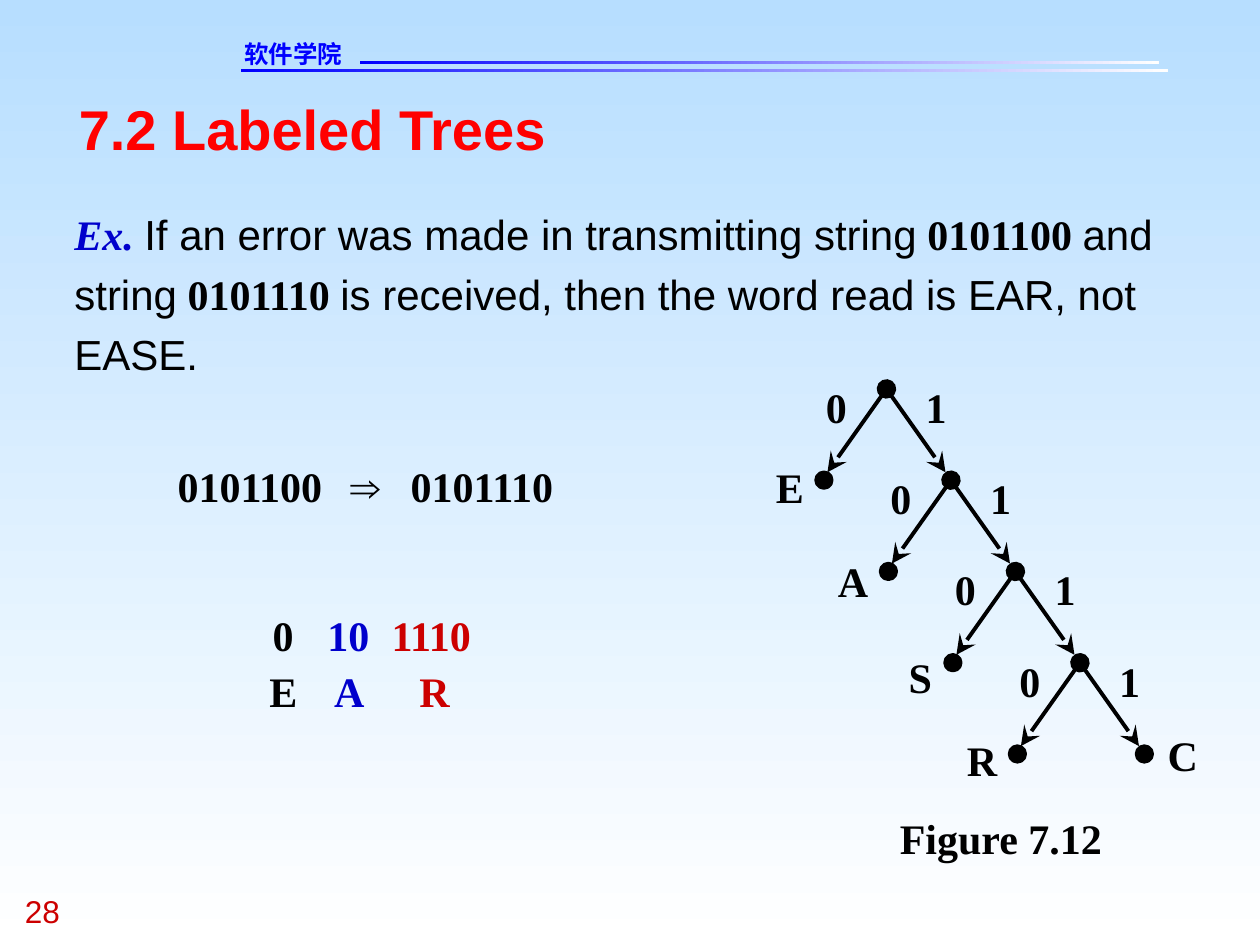
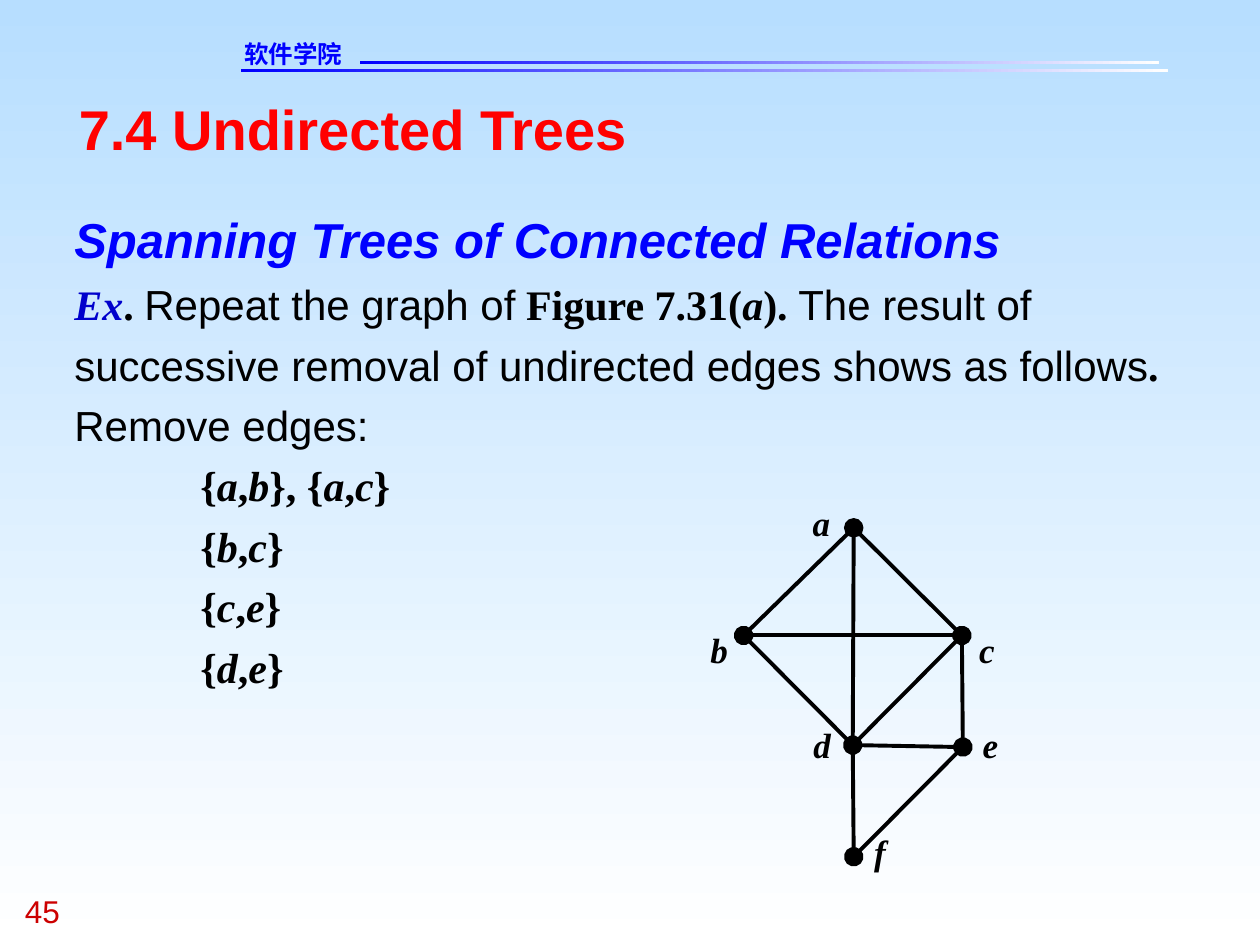
from dataclasses import dataclass, replace
from itertools import groupby

from lxml import etree
from pptx import Presentation
from pptx.dml.color import RGBColor
from pptx.enum.shapes import MSO_CONNECTOR, MSO_SHAPE
from pptx.enum.text import MSO_AUTO_SIZE
from pptx.oxml.ns import qn
from pptx.util import Cm, Pt

STRAIGHT = MSO_CONNECTOR.STRAIGHT
RECTANGLE, ELLIPSE = MSO_SHAPE.RECTANGLE, MSO_SHAPE.OVAL
GROW = MSO_AUTO_SIZE.SHAPE_TO_FIT_TEXT
BLANK_LAYOUT = 6


@dataclass(frozen=True)
class Style:
    size: int
    face: str
    color: str
    bold: bool = False
    italic: bool = False


class Theme:
    sky, white, black = "B7DEFF", "FFFFFF", "000000"
    bright_blue, blue, red = "0000FF", "0000CC", "CC0000"
    edge_width, dot_outline = Pt(2.25), Pt(2.5)
    line_spacing = 1.2
    school = Style(14, "DejaVu Sans", bright_blue, bold=True)
    number = Style(18, "Arial", red)
    title = Style(32, "Arial", "FF0000", bold=True)
    heading = Style(28, "Arial", bright_blue, bold=True, italic=True)
    body = Style(24, "Arial", black)
    symbol = replace(body, bold=True)
    serif = Style(24, "Times New Roman", black, bold=True)
    serif_italic = replace(serif, italic=True)
    example = replace(serif_italic, color=blue)
    vertex = replace(serif_italic, size=20)


def style_font(font, style):
    font.size = Pt(style.size)
    font.name = style.face
    font.bold = style.bold
    font.italic = style.italic
    font.color.rgb = RGBColor.from_string(style.color)


class SlideBuilder:
    """Holds the theme and the current page."""

    def __init__(self, deck, theme):
        self.deck, self.theme, self.page = deck, theme, None

    def gradient(self, fill, start, end, angle):
        fill.gradient()
        fill.gradient_angle = angle
        for stop, color in zip(fill.gradient_stops, (start, end)):
            stop.color.rgb = RGBColor.from_string(color)

    def new_page(self, title, number):
        theme = self.theme
        self.page = self.deck.slides.add_slide(self.deck.slide_layouts[BLANK_LAYOUT])
        self.gradient(self.page.background.fill, theme.sky, theme.white, 270)
        self.band(4.85, 1.4, 18.69)
        self.label("软件学院", theme.school, 4.92, 0.79, 3.68, 0.58)
        self.label(number, theme.number, 0.5, 17.99, 1.9, 0.76)
        self.band(7.26, 1.24, 16.1)
        self.label(title, theme.title, 1.59, 1.9, 22.2, 1.35)

    def shape(self, kind, left, top, width, height):
        shape = self.page.shapes.add_shape(
            kind, Cm(left), Cm(top), Cm(width), Cm(height))
        shape.shadow.inherit = False
        return shape

    def band(self, left, top, width):
        band = self.shape(RECTANGLE, left, top, width, 0.05)
        self.gradient(band.fill, self.theme.bright_blue, self.theme.white, 0)
        band.line.fill.background()

    def dot(self, x, y, size=0.3):
        dot = self.shape(ELLIPSE, x - size / 2, y - size / 2, size, size)
        black = RGBColor.from_string(self.theme.black)
        dot.fill.solid()
        dot.fill.fore_color.rgb = black
        dot.line.color.rgb = black
        dot.line.width = self.theme.dot_outline

    def edge(self, start, end, head=None, tail=None):
        edge = self.page.shapes.add_connector(
            STRAIGHT, *(Cm(length) for length in (*start, *end)))
        edge.line.color.rgb = RGBColor.from_string(self.theme.black)
        edge.line.width = self.theme.edge_width
        outline = edge.line._get_or_add_ln()
        for tag, kind in (("a:headEnd", head), ("a:tailEnd", tail)):
            if kind:
                etree.SubElement(outline, qn(tag), type=kind, w="lg", len="lg")
        etree.SubElement(edge._element.spPr, qn("a:effectLst"))

    def text_frame(self, left, top, width, height, wrap=True):
        box = self.page.shapes.add_textbox(Cm(left), Cm(top), Cm(width), Cm(height))
        frame = box.text_frame
        frame.margin_left = frame.margin_right = 0
        frame.margin_top = frame.margin_bottom = 0
        frame.word_wrap = wrap
        frame.auto_size = GROW
        return frame

    def label(self, text, style, left, top, width, height=1.02, wrap=True):
        paragraph = self.text_frame(left, top, width, height, wrap).paragraphs[0]
        paragraph.add_run().text = text
        style_font(paragraph.font, style)

    def body(self, paragraphs, left, top, width, height):
        """Each paragraph is (indent, spans); a span is (text, style)."""
        frame = self.text_frame(left, top, width, height)
        for index, (indent, spans) in enumerate(paragraphs):
            paragraph = frame.add_paragraph() if index else frame.paragraphs[0]
            paragraph.line_spacing = self.theme.line_spacing
            properties = paragraph._p.get_or_add_pPr()
            properties.set("marL", str(Cm(indent)))
            properties.set("indent", "0")
            style_font(paragraph.font, spans[0][1])
            for text, style in spans:
                span = paragraph.add_run()
                span.text = text
                if len(spans) > 1:
                    style_font(span.font, style)


def labeled_trees(slide):
    theme = slide.theme
    body, serif = theme.body, theme.serif
    slide.new_page("7.2 Labeled Trees", "28")
    slide.body([(0, [
        ("Ex. ", theme.example),
        ("If an error was made in transmitting string", body),
        (" 0101100 ", serif), ("and string", body), (" 0101110 ", serif),
        ("is received, then the word read is EAR, not EASE.", body),
    ])], 1.5, 3.99, 22.25, 3.66)

    # Sent and received strings
    for text, style, left, width in (("0101100", serif, 3.58, 3),
                                     ("⇒", theme.symbol, 7.07, 0.9),
                                     ("0101110", serif, 8.28, 3)):
        slide.label(text, style, left, 9.29, width, wrap=False)

    # Codes over the letters they decode to
    for code, letter, color, center, code_width, letter_width in (
            ("0", "E", theme.black, 5.72, 0.45, 0.58),
            ("10", "A", theme.blue, 7.05, 0.9, 0.63),
            ("1110", "R", theme.red, 8.77, 1.75, 0.63)):
        style = replace(serif, color=color)
        for text, top, width in ((code, 12.29, code_width),
                                 (letter, 13.41, letter_width)):
            slide.label(text, style, center - width / 2, top, width, wrap=False)
    slide.label("Figure 7.12", serif, 18.14, 16.37, 4.15, wrap=False)

    # Code tree: every left branch is a leaf, every right branch goes on
    step_x, step_y = 1.3, 1.84
    reach_x, reach_y = 1.19, 1.68
    leaves = (("E", 9.3, 0.58), ("A", 11.2, 0.63), ("S", 13.13, 0.5), ("R", 14.81, 0.63))
    for level, (letter, letter_top, letter_width) in enumerate(leaves):
        x, y = 17.87 + level * step_x, 7.84 + level * step_y
        leaf_x = x - 1.26
        slide.dot(leaf_x, y + step_y)
        slide.label(letter, serif, leaf_x - 0.39 - letter_width, letter_top,
                    letter_width, wrap=False)
        slide.edge((x, y), (x - reach_x, y + reach_y), "oval", "stealth")
        slide.edge((x, y), (x + reach_x, y + reach_y), tail="stealth")
        for bit, offset in (("0", -1.22), ("1", 0.79)):
            slide.label(bit, serif, x + offset, y - 0.15, 0.51)
    slide.dot(x + step_x, y + step_y)
    slide.label("C", serif, 23.54, 14.71, 0.63, wrap=False)


def undirected_trees(slide):
    theme = slide.theme
    body, serif, italic = theme.body, theme.serif, theme.serif_italic
    slide.new_page("7.4 Undirected Trees", "45")

    # Text, with the vertex letters of each edge in italics
    removed = [
        (2.54, [("".join(group), italic if is_letter else serif)
                for is_letter, group in groupby(edges, str.isalpha)])
        for edges in ("{a,b}, {a,c}", "{b,c}", "{c,e}", "{d,e}")]
    slide.body([
        (0, [("Spanning Trees of Connected Relations", theme.heading)]),
        (0, [("Ex", theme.example), (". ", serif), ("Repeat the graph of", body),
             (" Figure 7.31(", serif), ("a", italic), ("). ", serif),
             ("The result of successive removal of undirected edges shows as follows", body),
             (".", serif)]),
        (0, [("Remove edges:", body)]),
        *removed,
    ], 1.5, 3.99, 22.73, 9.96)

    # Graph: the vertices named in dots get an oval end
    vertices = {"a": (17.21, 10.64), "b": (14.99, 12.81), "c": (19.39, 12.81),
                "d": (17.19, 15.02), "e": (19.41, 15.06), "f": (17.21, 17.27)}
    for (start, end), dots in (("bc", ""), ("bd", "b"), ("cd", "cd"), ("ac", ""),
                               ("ab", ""), ("ad", "a"), ("df", ""), ("ce", ""),
                               ("ef", "ef"), ("de", "")):
        head, tail = ("oval" if name in dots else None for name in (start, end))
        slide.edge(vertices[start], vertices[end], head, tail)
    for name, left, top, width in (("a", 16.38, 10.11, 0.36), ("b", 14.32, 12.67, 0.36),
                                   ("c", 19.74, 12.67, 0.32), ("d", 16.4, 14.58, 0.36),
                                   ("e", 19.81, 14.58, 0.32), ("f", 17.62, 16.74, 0.25)):
        slide.label(name, theme.vertex, left, top, width, 0.84, wrap=False)


def main():
    deck = Presentation()
    deck.slide_width, deck.slide_height = Cm(25.4), Cm(19.05)
    slide = SlideBuilder(deck, Theme())
    labeled_trees(slide)
    undirected_trees(slide)
    deck.save("out.pptx")


if __name__ == "__main__":
    main()
